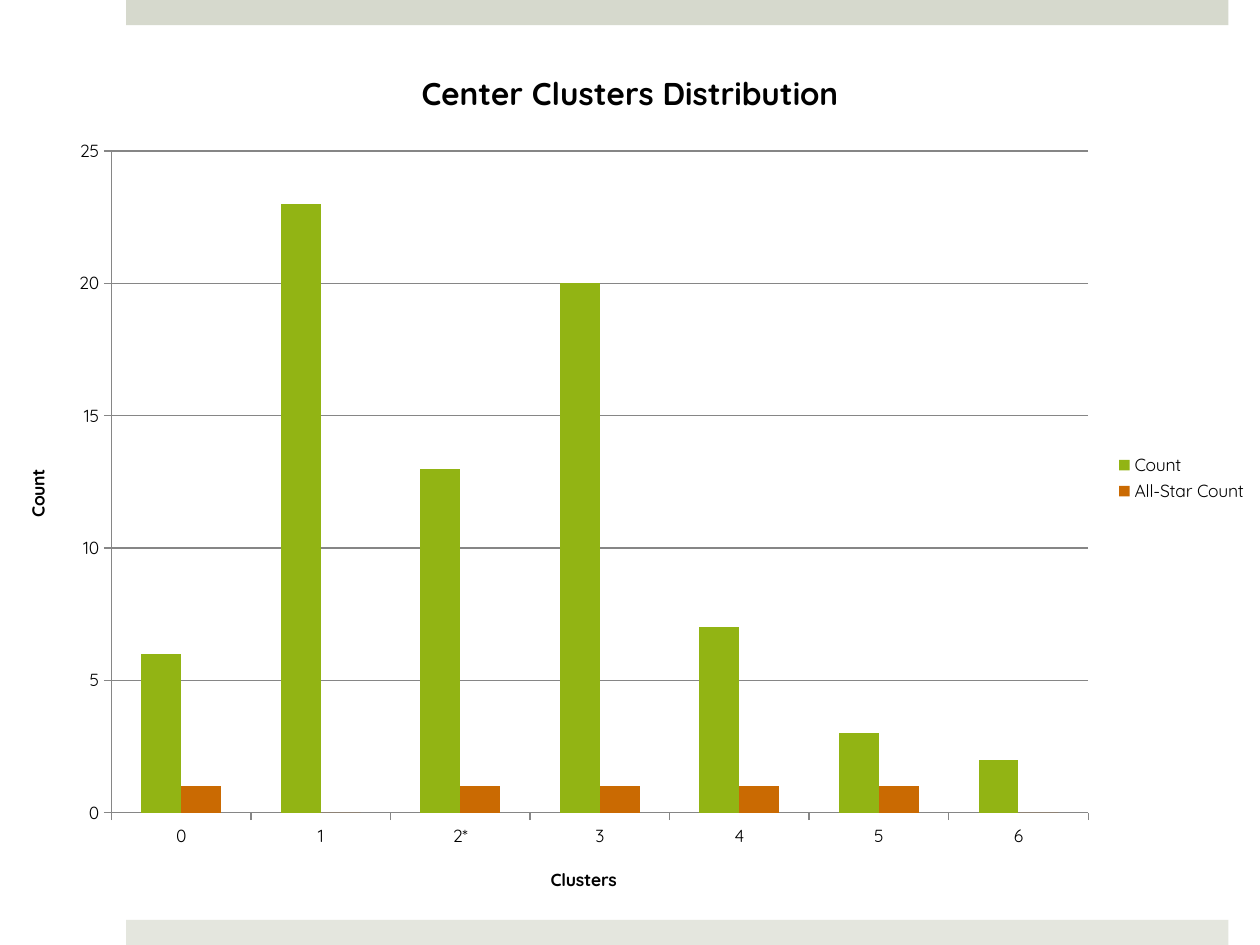
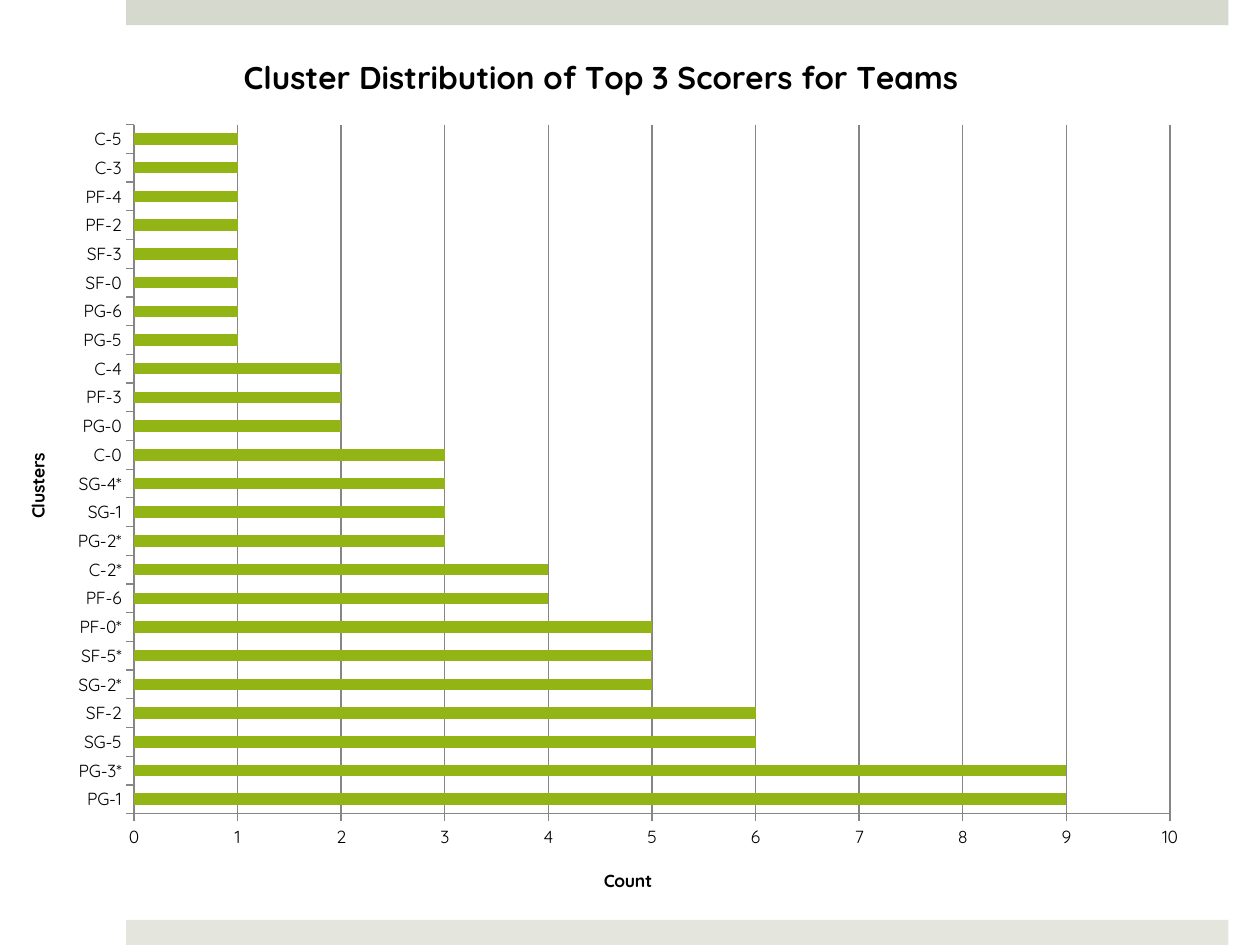
from pptx import Presentation
from pptx.chart.data import CategoryChartData
from pptx.dml.color import RGBColor
from pptx.enum.chart import XL_CHART_TYPE, XL_LEGEND_POSITION, XL_TICK_MARK
from pptx.enum.shapes import MSO_SHAPE
from pptx.util import Inches, Pt

FONT = "Quicksand"
BLACK, GRID_GRAY = "000000", "868686"
GREEN, ORANGE = "92B414", "CA6A02"
TOP_BAND, BOTTOM_BAND = "D6D9CD", "E4E6DE"
WIDTH, HEIGHT = 10, 7.5
BAND_LEFT, BAND_WIDTH, BAND_HEIGHT = 1, 8.75, 0.2

CENTER_COUNTS = {"Count": [6, 23, 13, 20, 7, 3, 2],
                 "All-Star Count": [1, 0, 1, 1, 1, 1, 0]}
CENTER_CLUSTERS = ["0", "1", "2*", "3", "4", "5", "6"]
CLUSTERS_BY_SCORERS = {
    9: ["PG-1", "PG-3*"],
    6: ["SG-5", "SF-2"],
    5: ["SG-2*", "SF-5*", "PF-0*"],
    4: ["PF-6", "C-2*"],
    3: ["PG-2*", "SG-1", "SG-4*", "C-0"],
    2: ["PG-0", "PF-3", "C-4"],
    1: ["PG-5", "PG-6", "SF-0", "SF-3", "PF-2", "PF-4", "C-3", "C-5"],
}


def color(hex_code):
    return RGBColor.from_string(hex_code)


def format_font(font, size, bold=False):
    font.name = FONT
    font.size = Pt(size)
    font.bold = bold
    font.color.rgb = color(BLACK)


def add_band(slide, top, fill):
    band = slide.shapes.add_shape(
        MSO_SHAPE.RECTANGLE, Inches(BAND_LEFT), Inches(top),
        Inches(BAND_WIDTH), Inches(BAND_HEIGHT))
    band.shadow.inherit = False
    band.fill.solid()
    band.fill.fore_color.rgb = color(fill)
    band.line.fill.background()


def add_banded_slide(presentation):
    slide = presentation.slides.add_slide(presentation.slide_layouts[6])
    add_band(slide, 0, TOP_BAND)
    add_band(slide, HEIGHT - BAND_HEIGHT, BOTTOM_BAND)
    return slide


def set_title(titled, text, size):
    """Title a chart or one of its axes."""
    titled.has_title = True
    title = titled.chart_title if hasattr(titled, "chart_title") else titled.axis_title
    run = title.text_frame.paragraphs[0].add_run()
    run.text = text
    format_font(run.font, size, bold=True)


def format_line(line):
    line.color.rgb = color(GRID_GRAY)
    line.width = Pt(0.75)


def format_axis(axis, title):
    set_title(axis, title, 10)
    axis.major_tick_mark = XL_TICK_MARK.OUTSIDE
    axis.minor_tick_mark = XL_TICK_MARK.NONE
    format_font(axis.tick_labels.font, 10)
    format_line(axis.format.line)


def add_count_chart(slide, chart_type, box, title, clusters, counts, maximum, step):
    data = CategoryChartData(number_format="0")
    data.categories = clusters
    for name, values in counts.items():
        data.add_series(name, values)
    chart = slide.shapes.add_chart(chart_type, *map(Inches, box), data).chart
    format_font(chart.font, 10)
    set_title(chart, title, 18)
    chart.chart_title.include_in_layout = False

    format_axis(chart.category_axis, "Clusters")
    count_axis = chart.value_axis
    format_axis(count_axis, "Count")
    count_axis.minimum_scale = 0
    count_axis.maximum_scale = maximum
    count_axis.major_unit = step
    count_axis.has_major_gridlines = True
    format_line(count_axis.major_gridlines.format.line)

    plot = chart.plots[0]
    plot.gap_width = 150
    plot.overlap = 0
    plot.vary_by_categories = False
    for series, fill in zip(plot.series, (GREEN, ORANGE)):
        series.format.fill.solid()
        series.format.fill.fore_color.rgb = color(fill)
        series.invert_if_negative = False

    chart.has_legend = len(counts) > 1
    if chart.has_legend:
        chart.legend.position = XL_LEGEND_POSITION.RIGHT
        chart.legend.include_in_layout = False
        format_font(chart.legend.font, 10)


def main():
    presentation = Presentation()
    presentation.slide_width = Inches(WIDTH)
    presentation.slide_height = Inches(HEIGHT)

    add_count_chart(
        add_banded_slide(presentation), XL_CHART_TYPE.COLUMN_CLUSTERED,
        (0, 0.32, WIDTH, 6.95), "Center Clusters Distribution",
        CENTER_CLUSTERS, CENTER_COUNTS, maximum=25, step=5)

    scorer_clusters = [cluster for group in CLUSTERS_BY_SCORERS.values()
                       for cluster in group]
    scorer_counts = [count for count, group in CLUSTERS_BY_SCORERS.items()
                     for _ in group]
    add_count_chart(
        add_banded_slide(presentation), XL_CHART_TYPE.BAR_CLUSTERED,
        (0, 0.19, 9.54, 7.09), "Cluster Distribution of Top 3 Scorers for Teams",
        scorer_clusters, {"Series 1": scorer_counts}, maximum=10, step=1)

    presentation.save("out.pptx")


if __name__ == "__main__":
    main()
